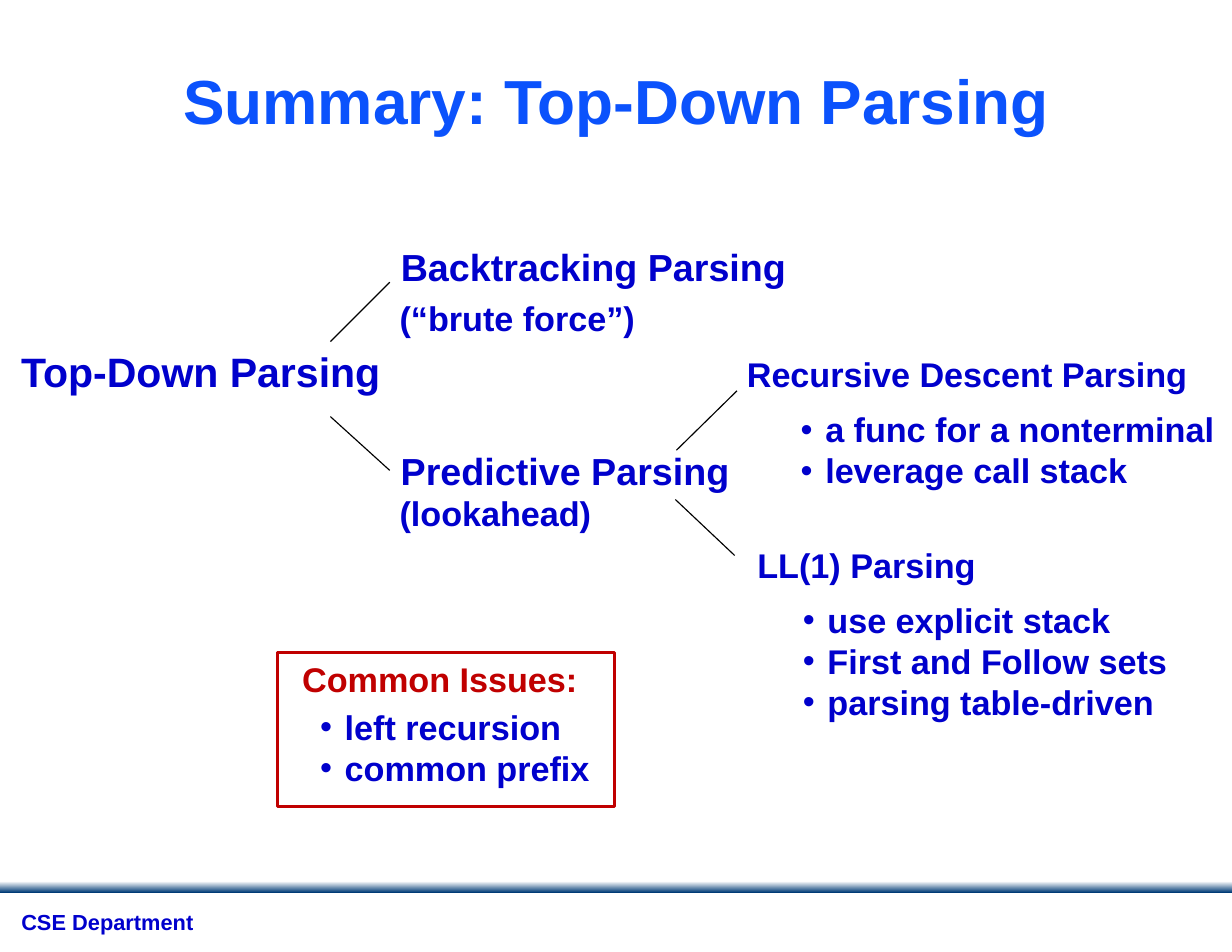
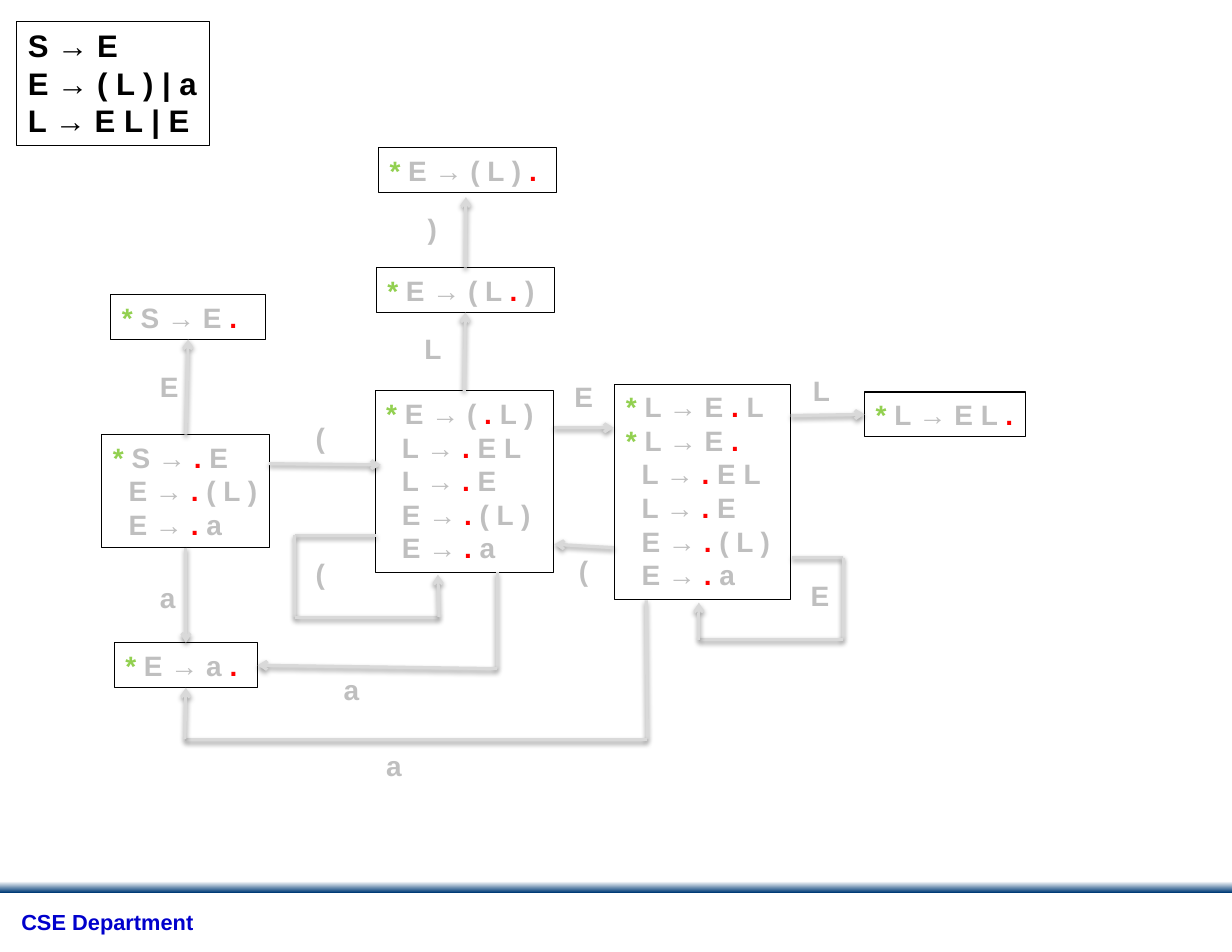
import dataclasses
import itertools
import typing

import lxml.etree
import pptx
import pptx.dml.color
import pptx.enum.shapes
import pptx.enum.text
import pptx.oxml.ns
import pptx.util

# Slide grid: every place and size below is in columns and rows
SLIDE_W, SLIDE_H = pptx.util.Inches(11), pptx.util.Inches(8.5)
COLUMNS, ROWS = 110, 85

RGB = pptx.dml.color.RGBColor
BLACK = RGB(0x00, 0x00, 0x00)
WHITE = RGB(0xFF, 0xFF, 0xFF)
NAVY = RGB(0x00, 0x3B, 0x76)
TITLE_BLUE = RGB(0x0B, 0x52, 0xFC)
TEXT_BLUE = RGB(0x00, 0x00, 0xCC)
CRIMSON = RGB(0xC0, 0x00, 0x00)
STAR_GREEN = RGB(0x92, 0xD0, 0x50)
DOT_RED = RGB(0xFF, 0x00, 0x00)
SYMBOL_GREY = RGB(0xBF, 0xBF, 0xBF)
ARROW_GREY = RGB(0xD9, 0xD9, 0xD9)

ALIGN = pptx.enum.text.PP_ALIGN
FONT = {"name": "Arial", "bold": True}
FRAME = {
    "word_wrap": False,
    "auto_size": pptx.enum.text.MSO_AUTO_SIZE.SHAPE_TO_FIT_TEXT,
    "vertical_anchor": pptx.enum.text.MSO_ANCHOR.TOP,
}
BULLET_INDENT = 2.2
STARLESS_INDENT = 1.4

Point = tuple[float, float]
Joint = tuple[str, int]  # state name, connection site
TOP, LEFT, BOTTOM, RIGHT = range(4)


@dataclasses.dataclass(frozen=True)
class Box:
    left: float
    top: float
    width: float
    height: float


@dataclasses.dataclass(frozen=True)
class Label:
    box: Box
    lines: tuple[str, ...]
    size: float = 22
    color: RGB = TEXT_BLUE
    align: typing.Any = ALIGN.LEFT
    bulleted: bool = False


@dataclasses.dataclass(frozen=True)
class State:
    box: Box
    items: tuple[str, ...]


@dataclasses.dataclass(frozen=True)
class Route:
    points: tuple[Point, ...]
    start: Joint | None = None
    end: Joint | None = None


# Shared parts
BAND = Box(0, 78.7, COLUMNS, 1)
FOOTER = Label(Box(0.8, 80.8, 17.8, 3.3), ("CSE Department",), 14)
FOOTER_INSETS = {"margin_left": 1.1, "margin_right": 1.1, "margin_top": 0.6, "margin_bottom": 0.6}
TITLE = Label(Box(5.5, 3.4, 99, 14.2), ("Summary: Top-Down Parsing",), 40, TITLE_BLUE, ALIGN.CENTER)

# Slide 1: the family of top-down parsers
PARSERS = (
    Label(Box(0.9, 30.4, 34.4, 5.5), ("Top-Down Parsing",), 26.4),
    Label(Box(34.8, 21.3, 36.8, 5.1), ("Backtracking Parsing",), 24.2),
    Label(Box(34.8, 39.5, 31.6, 5.1), ("Predictive Parsing",), 24.2),
    Label(Box(65.1, 31.1, 41.9, 4.7), ("Recursive Descent Parsing",), align=ALIGN.RIGHT),
    Label(Box(66.3, 48.1, 21.8, 4.7), ("LL(1) Parsing",), align=ALIGN.RIGHT),
    Label(Box(34.7, 43.5, 19.4, 4.7), ("(lookahead)",)),
    Label(Box(34.7, 26.1, 23.3, 4.7), ("(“brute force”)",)),
    Label(Box(70.5, 36, 39.5, 8.4), ("a func for a nonterminal", "leverage call stack"), bulleted=True),
    Label(Box(70.7, 53, 35, 12.1),
          ("use explicit stack", "First and Follow sets", "parsing table-driven"), bulleted=True),
    Label(Box(27.6, 62.6, 26.4, 8.4), ("left recursion", "common prefix"), bulleted=True),
    Label(Box(26, 58.3, 26.9, 4.7), ("Common Issues:",), color=CRIMSON),
)
ISSUES_FRAME = Box(24.8, 58.3, 30.1, 13.7)
BRANCHES = (
    ((29.5, 30.5), (34.8, 25.2)),
    ((29.5, 37.2), (34.8, 42)),
    ((60.3, 44.6), (65.6, 49.6)),
    ((60.4, 40.2), (65.8, 34.9)),
)

# Slide 2: the automaton of the grammar
GRAMMAR = Label(Box(1.5, 1.9, 17.2, 11.1), ("S → E", "E → ( L ) | a", "L → E L | E"), 20, BLACK)
STATES = {
    "start": State(Box(9.1, 38.8, 15, 10.1), ("* S → . E", "E → . ( L )", "E → . a")),
    "open": State(Box(33.5, 34.9, 15.9, 16.2),
                  ("* E → ( . L )", "L → . E L", "L → . E", "E → . ( L )", "E → . a")),
    "accept": State(Box(9.9, 26.3, 13.8, 4), ("* S → E .",)),
    "atom": State(Box(10.2, 57.4, 12.8, 4), ("* E → a .",)),
    "list done": State(Box(77.2, 35, 14.4, 4), ("* L → E L .",)),
    "list read": State(Box(33.6, 23.9, 15.9, 4), ("* E → ( L . )",)),
    "closed": State(Box(33.8, 13.2, 15.9, 4), ("* E → ( L ) .",)),
    "element": State(Box(54.9, 34.3, 15.7, 19.2),
                     ("* L → E . L", "* L → E .", "L → . E L", "L → . E", "E → . ( L )", "E → . a")),
}
ROUTES = (
    Route(((16.6, 38.8), (16.8, 30.3)), ("start", TOP), ("accept", BOTTOM)),
    Route(((16.6, 48.9), (16.6, 57.4)), ("start", BOTTOM), ("atom", TOP)),
    Route(((24, 41.4), (34, 41.5))),
    Route(((41.5, 34.9), (41.6, 27.9)), ("open", TOP), ("list read", BOTTOM)),
    Route(((41.6, 23.8), (41.6, 17.6)), ("list read", TOP)),
    Route(((49.5, 38.2), (54.8, 38.2))),
    Route(((54.8, 48.9), (49.5, 48.6))),
    Route(((70.6, 37.1), (77.2, 37)), end=("list done", LEFT)),
    Route(((44.4, 51.1), (44.4, 59.7), (23, 59.4)), end=("atom", RIGHT)),
    Route(((57.7, 53.6), (57.8, 66), (16.5, 66), (16.6, 61.5)), end=("atom", BOTTOM)),
    Route(((70.7, 49.8), (75.3, 49.8), (75.3, 57.1), (62.4, 57.1), (62.4, 53.8))),
    Route(((33.6, 47.8), (26.3, 47.8), (26.3, 55.1), (39.2, 55.1), (39.1, 51.3))),
)
SYMBOL_WIDTHS = {"(": 3, ")": 3, "a": 3.6, "E": 3.9, "L": 3.7}
SYMBOLS = (
    ("(", 27.2, 37.1), ("(", 27.2, 49.2), ("(", 50.7, 48.9), (")", 37.2, 18.4),
    ("a", 13.3, 51.3), ("a", 29.7, 59.6), ("a", 33.5, 66.3),
    ("E", 13.3, 32.5), ("E", 50.3, 33.4), ("E", 71.4, 51.2),
    ("L", 36.9, 29.1), ("L", 71.6, 32.9),
)


def col(n: float) -> int:
    return round(n * SLIDE_W / COLUMNS)


def row(n: float) -> int:
    return round(n * SLIDE_H / ROWS)


def place(box: Box) -> tuple[int, int, int, int]:
    return col(box.left), row(box.top), col(box.width), row(box.height)


def apply(target: typing.Any, values: dict[str, typing.Any]) -> None:
    for name, value in values.items():
        setattr(target, name, value)


def child(parent: typing.Any, tag: str, **attributes: typing.Any) -> typing.Any:
    values = {name: str(value) for name, value in attributes.items()}
    return lxml.etree.SubElement(parent, pptx.oxml.ns.qn(tag), values)


def add_run(paragraph: typing.Any, text: str, size: float, color: RGB) -> None:
    run = paragraph.add_run()
    run.text = text
    apply(run.font, FONT | {"size": pptx.util.Pt(size)})
    run.font.color.rgb = color


def indent(paragraph: typing.Any, left: float, first: float = 0) -> typing.Any:
    properties = paragraph._p.get_or_add_pPr()
    properties.set("marL", str(col(left)))
    properties.set("indent", str(col(first)))
    return properties


def paragraphs(frame: typing.Any, lines: tuple[str, ...]) -> typing.Iterator[tuple[typing.Any, str]]:
    for number, line in enumerate(lines):
        yield (frame.add_paragraph() if number else frame.paragraphs[0]), line


def write_label(frame: typing.Any, label: Label) -> None:
    apply(frame, FRAME)
    for paragraph, line in paragraphs(frame, label.lines):
        paragraph.alignment = label.align
        if label.bulleted:
            properties = indent(paragraph, BULLET_INDENT, -BULLET_INDENT)
            child(properties, "a:buFont", typeface="Arial")
            child(properties, "a:buChar", char="•")
        add_run(paragraph, line, label.size, label.color)


def add_label(slide: typing.Any, label: Label) -> typing.Any:
    frame = slide.shapes.add_textbox(*place(label.box)).text_frame
    write_label(frame, label)
    return frame


def add_rectangle(slide: typing.Any, box: Box, color: RGB = BLACK, weight: float = 0.75) -> typing.Any:
    rectangle = slide.shapes.add_shape(pptx.enum.shapes.MSO_SHAPE.RECTANGLE, *place(box))
    rectangle.shadow.inherit = False
    rectangle.fill.background()
    rectangle.line.color.rgb = color
    rectangle.line.width = pptx.util.Pt(weight)
    return rectangle


def symbol_color(symbol: str) -> RGB:
    return {"*": STAR_GREEN, ".": DOT_RED}.get(symbol, SYMBOL_GREY)


def add_state(slide: typing.Any, state: State) -> typing.Any:
    rectangle = add_rectangle(slide, state.box)
    apply(rectangle.text_frame, FRAME)
    for paragraph, item in paragraphs(rectangle.text_frame, state.items):
        paragraph.alignment = ALIGN.LEFT
        if not item.startswith("*"):
            indent(paragraph, STARLESS_INDENT)
        for color, symbols in itertools.groupby(item, symbol_color):
            add_run(paragraph, "".join(symbols), 18, color)
    return rectangle


def add_line(slide: typing.Any, start: Point, end: Point, color: RGB, weight: float) -> tuple[typing.Any, typing.Any]:
    line = slide.shapes.add_connector(
        pptx.enum.shapes.MSO_CONNECTOR.STRAIGHT, col(start[0]), row(start[1]), col(end[0]), row(end[1]))
    line.line.color.rgb = color
    line.line.width = pptx.util.Pt(weight)
    return line, child(line._element.spPr, "a:effectLst")


def add_route(slide: typing.Any, route: Route, drawn: dict[str, typing.Any]) -> None:
    segments = []
    for start, end in itertools.pairwise(route.points):
        segment, effects = add_line(slide, start, end, ARROW_GREY, 2)
        shadow = child(effects, "a:outerShdw", blurRad=40000, dist=20000, dir=5400000, rotWithShape=0)
        child(child(shadow, "a:srgbClr", val=BLACK), "a:alpha", val=38000)
        segments.append(segment)
    child(segments[-1].line._get_or_add_ln(), "a:tailEnd", type="arrow")
    if route.start:
        segments[0].begin_connect(drawn[route.start[0]], route.start[1])
    if route.end:
        segments[-1].end_connect(drawn[route.end[0]], route.end[1])


def add_slide(deck: typing.Any) -> typing.Any:
    """Add a blank slide with the band and the footer."""
    slide = deck.slides.add_slide(deck.slide_layouts[6])
    band = add_rectangle(slide, BAND)
    band.line.fill.background()
    band.fill.gradient()
    band.fill.gradient_angle = 270
    for stop, color in zip(band.fill.gradient_stops, (WHITE, NAVY)):
        stop.color.rgb = color
    footer = add_label(slide, FOOTER)
    apply(footer, {side: col(inset) for side, inset in FOOTER_INSETS.items()})
    footer.paragraphs[0].line_spacing = 0.9
    return slide


def build_summary(deck: typing.Any) -> None:
    slide = add_slide(deck)
    title = add_label(slide, TITLE)
    apply(title, {"word_wrap": True, "auto_size": pptx.enum.text.MSO_AUTO_SIZE.NONE, "margin_top": row(4.7)})
    title.paragraphs[0].line_spacing = pptx.util.Pt(30)
    for label in PARSERS:
        add_label(slide, label)
    for start, end in BRANCHES:
        add_line(slide, start, end, BLACK, 0.75)
    add_rectangle(slide, ISSUES_FRAME, CRIMSON, 2)


def build_automaton(deck: typing.Any) -> None:
    slide = add_slide(deck)
    write_label(add_rectangle(slide, GRAMMAR.box).text_frame, GRAMMAR)
    drawn = {name: add_state(slide, state) for name, state in STATES.items()}
    for route in ROUTES:
        add_route(slide, route, drawn)
    for symbol, left, top in SYMBOLS:
        add_label(slide, Label(Box(left, top, SYMBOL_WIDTHS[symbol], 4.4), (symbol,), 18, SYMBOL_GREY))


def main() -> None:
    deck = pptx.Presentation()
    apply(deck, {"slide_width": SLIDE_W, "slide_height": SLIDE_H})
    build_summary(deck)
    build_automaton(deck)
    deck.save("out.pptx")


if __name__ == "__main__":
    main()
